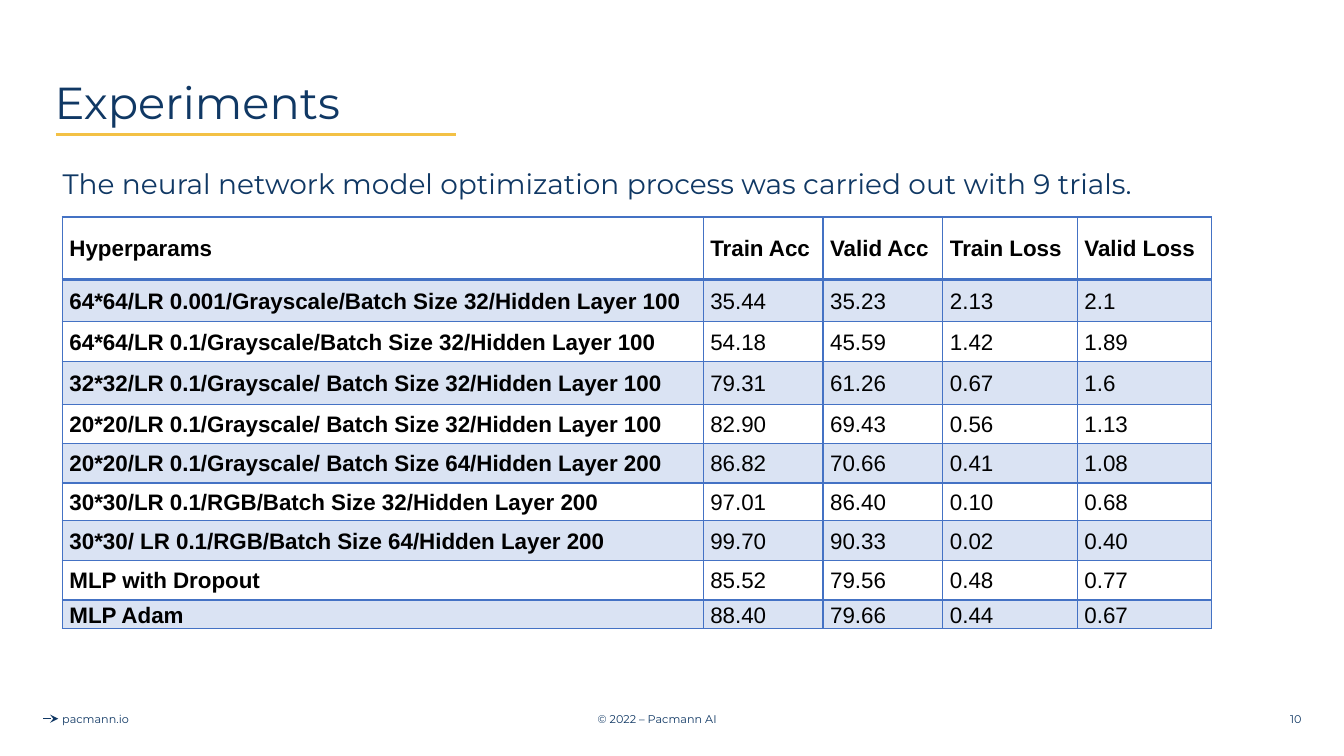
from lxml.etree import SubElement
from pptx import Presentation
from pptx.dml.color import RGBColor
from pptx.enum.shapes import MSO_CONNECTOR
from pptx.enum.text import MSO_ANCHOR, PP_ALIGN
from pptx.oxml import parse_xml
from pptx.oxml.ns import nsdecls, qn
from pptx.util import Cm, Pt

# Content
TITLE = "Experiments"
LEAD = "The neural network model optimization process was carried out with 9 trials."
HEAD = ("Hyperparams", "Train Acc", "Valid Acc", "Train Loss", "Valid Loss")
TRIALS = [
    ("64*64/LR 0.001/Grayscale/Batch Size 32/Hidden Layer 100", "35.44", "35.23", "2.13", "2.1"),
    ("64*64/LR 0.1/Grayscale/Batch Size 32/Hidden Layer 100", "54.18", "45.59", "1.42", "1.89"),
    ("32*32/LR 0.1/Grayscale/ Batch Size 32/Hidden Layer 100", "79.31", "61.26", "0.67", "1.6"),
    ("20*20/LR 0.1/Grayscale/ Batch Size 32/Hidden Layer 100", "82.90", "69.43", "0.56", "1.13"),
    ("20*20/LR 0.1/Grayscale/ Batch Size 64/Hidden Layer 200", "86.82", "70.66", "0.41", "1.08"),
    ("30*30/LR 0.1/RGB/Batch Size 32/Hidden Layer 200", "97.01", "86.40", "0.10", "0.68"),
    ("30*30/ LR 0.1/RGB/Batch Size 64/Hidden Layer 200", "99.70", "90.33", "0.02", "0.40"),
    ("MLP with Dropout", "85.52", "79.56", "0.48", "0.77"),
    ("MLP Adam", "88.40", "79.66", "0.44", "0.67"),
]
# Footer: text, left, width, alignment
FOOT = [
    ("© 2022 – Pacmann AI", 10.85, 11.43, PP_ALIGN.CENTER),
    ("pacmann.io", 0.5, 3.82, PP_ALIGN.CENTER),
    ("10", 25.43, 7.62, PP_ALIGN.RIGHT),
]
COLS = (16.15, 3.02, 3.02, 3.39, 3.39)
ROWS = (1.57, 1.07, 0.99, 1.09, 0.99, 0.99, 0.94, 1.02, 0.99, 0.71)
HUES = {"navy": "103864", "gold": "F3C145", "blue": "4472C4",
        "band": "DAE3F3", "white": "FFFFFF", "black": "000000"}


def hue(name):
    return RGBColor.from_string(HUES[name])


def write(frame, text, size, color="navy", face="Montserrat", bold=False, **form):
    para = frame.paragraphs[0]
    para.text = text
    for key, value in form.items():
        setattr(para, key, value)
    looks = {"size": Pt(size), "name": face, "bold": bold}
    for key, value in looks.items():
        setattr(para.font, key, value)
    para.font.color.rgb = hue(color)


def label(slide, box, text, size, anchor=MSO_ANCHOR.MIDDLE, **form):
    frame = slide.shapes.add_textbox(*map(Cm, box)).text_frame
    frame.word_wrap = True
    frame.vertical_anchor = anchor
    write(frame, text, size, **form)
    return frame


def rule(slide, start, end, top, color, width):
    line = slide.shapes.add_connector(
        MSO_CONNECTOR.STRAIGHT, Cm(start), Cm(top), Cm(end), Cm(top))
    line.line.color.rgb = hue(color)
    line.line.width = Pt(width)
    SubElement(line._element.spPr, qn("a:effectLst"))
    return line


def edge(cell, widths):
    props = cell._tc.get_or_add_tcPr()
    for spot, (side, width) in enumerate(widths.items()):
        props.insert(spot, parse_xml(
            f'<a:ln{side} {nsdecls("a")} w="{Pt(width)}"><a:solidFill>'
            f'<a:srgbClr val="{HUES["blue"]}"/></a:solidFill></a:ln{side}>'))


def grid(slide):
    data = [HEAD] + TRIALS
    table = slide.shapes.add_table(
        len(data), len(HEAD), Cm(1.57), Cm(5.47), Cm(sum(COLS)), Cm(sum(ROWS))).table
    table.first_row = table.horz_banding = False
    for col, width in zip(table.columns, COLS):
        col.width = Cm(width)
    for row, height in zip(table.rows, ROWS):
        row.height = Cm(height)
    form = {"vertical_anchor": MSO_ANCHOR.MIDDLE, "margin_left": Cm(0.18),
            "margin_right": Cm(0.18), "margin_top": 0, "margin_bottom": 0}
    for r, row in enumerate(data):
        for c, text in enumerate(row):
            cell = table.cell(r, c)
            for key, value in form.items():
                setattr(cell, key, value)
            cell.fill.solid()
            cell.fill.fore_color.rgb = hue("band" if r % 2 else "white")
            # Thicker rule under the heading row
            edge(cell, {"L": 1, "R": 1, "T": 2 if r == 1 else 1, "B": 2 if r == 0 else 1})
            write(cell.text_frame, text, 16, "black", "Arial", r == 0 or c == 0,
                  line_spacing=1.07, space_after=Pt(8))


def main():
    deck = Presentation()
    deck.slide_width, deck.slide_height = Cm(33.87), Cm(19.05)
    slide = deck.slides.add_slide(deck.slide_layouts[5])

    # Footer
    arrow = rule(slide, 1.09, 1.47, 18.11, "navy", 0.75)
    SubElement(arrow.line._get_or_add_ln(), qn("a:tailEnd"), type="stealth")
    for text, left, width, align in FOOT:
        label(slide, (left, 17.75, width, 1.02)[0:1] + (17.6, width, 1.02),
              text, 8, alignment=align)

    # Title and its underline
    rule(slide, 1.41, 11.5, 3.4, "gold", 2.25)
    title = slide.shapes.title
    spots = {"left": 1.12, "top": 0.81, "width": 31.67, "height": 3.68}
    for key, value in spots.items():
        setattr(title, key, Cm(value))
    title.text_frame.vertical_anchor = MSO_ANCHOR.MIDDLE
    write(title.text_frame, TITLE, 32, alignment=PP_ALIGN.LEFT, line_spacing=0.9)

    # Lead sentence
    lead = label(slide, (1.07, 3.66, 31.65, 1.83), LEAD, 20, MSO_ANCHOR.TOP,
                 alignment=PP_ALIGN.JUSTIFY, line_spacing=1.5, space_after=Pt(8))
    lead.margin_left = Cm(0.51)

    # Table of trials
    grid(slide)
    deck.save("out.pptx")


if __name__ == "__main__":
    main()
